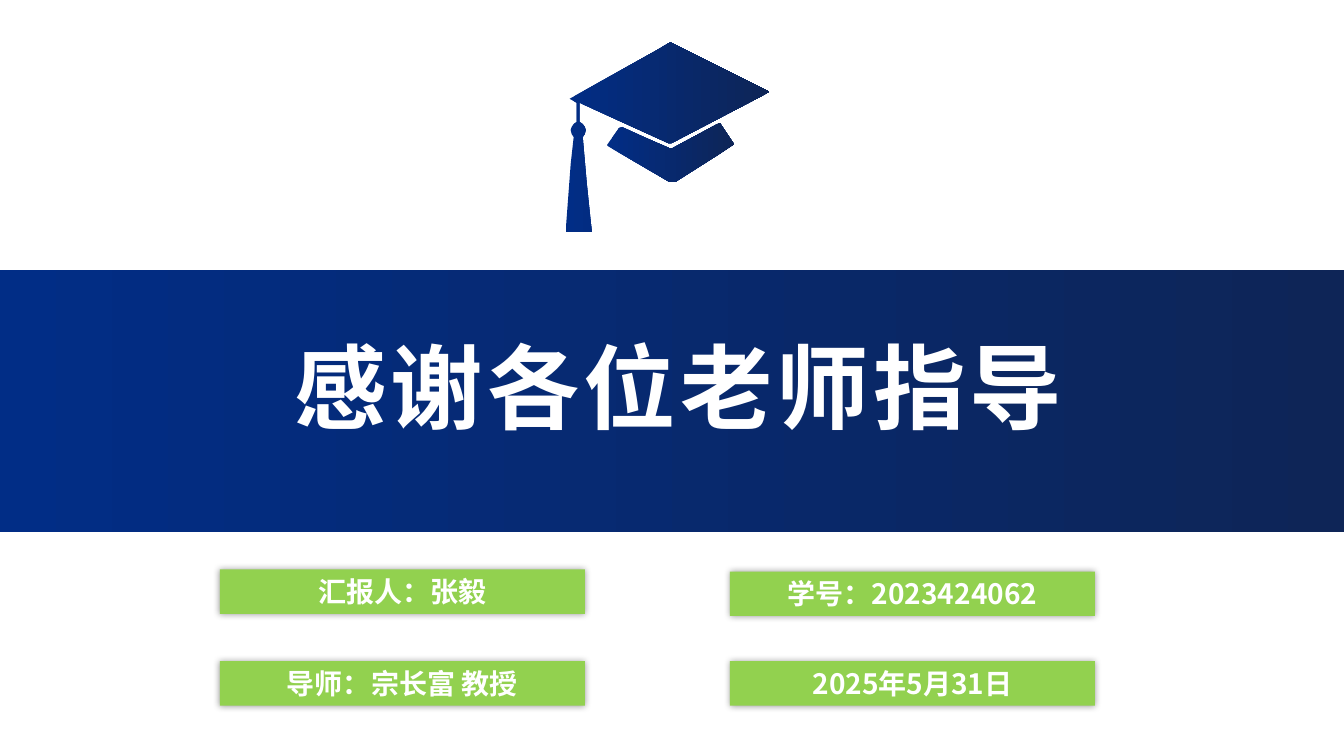
import pptx
import pptx.dml.color
import pptx.enum.shapes
import pptx.enum.text
import pptx.oxml
import pptx.oxml.ns
import pptx.util

RGB = pptx.dml.color.RGBColor
BLUE = RGB(0x01, 0x2D, 0x86)
NAVY = RGB(0x0E, 0x25, 0x57)
GREEN = RGB(0x92, 0xD1, 0x4F)
WHITE = RGB(0xFF, 0xFF, 0xFF)
FONT = "Noto Sans CJK SC"
SCALE = 9144
WIDTH, HEIGHT = 1333, 750

CAP_TOP = [
    (575, 102), (575, 121), (578, 123), (580, 126), (581, 129), (580, 133),
    (578, 136), (582, 182), (587, 230), (561, 230), (566, 163), (569, 136),
    (567, 133), (566, 129), (567, 126), (569, 123), (572, 121), (572, 102),
    (565, 98), (653, 49), (663, 43), (665, 42), (667, 43), (747, 83),
    (763, 91), (754, 96), (668, 141), (666, 142), (663, 142), (577, 103),
]
CAP_BASE = [
    (602, 144), (614, 127), (617, 126), (641, 137), (664, 147), (667, 147),
    (710, 124), (714, 122), (728, 143), (713, 153), (669, 181), (665, 181),
    (603, 145),
]
LABELS = [
    (218, 565, "汇报人：张毅"),
    (724, 567, "学号：2023424062"),
    (218, 656, "导师：宗长富 教授"),
    (724, 656, "2025年5月31日"),
]


def emu(px):
    return pptx.util.Emu(px * SCALE)


class Deck:
    def __init__(self):
        self.prs = pptx.Presentation()
        self.prs.slide_width, self.prs.slide_height = emu(WIDTH), emu(HEIGHT)
        self.slide = self.prs.slides.add_slide(self.prs.slide_layouts[5])
        self.shapes = self.slide.shapes

    def set_text(self, sp, text, size, align, anchor):
        tf = sp.text_frame
        tf.word_wrap = True
        tf.auto_size = pptx.enum.text.MSO_AUTO_SIZE.NONE
        tf.vertical_anchor = anchor
        tf.text = text
        p = tf.paragraphs[0]
        p.alignment = align
        font = p.font
        font.size, font.bold, font.name = pptx.util.Pt(size), True, FONT
        font.color.rgb = WHITE
        ea = pptx.oxml.parse_xml(
            f'<a:ea {pptx.oxml.ns.nsdecls("a")} typeface="{FONT}"/>')
        props = p._p.pPr.find(pptx.oxml.ns.qn("a:defRPr"))
        props.append(ea)
        return props

    def gradient(self, sp):
        sp.shadow.inherit = False
        sp.line.fill.background()
        sp.fill.gradient()
        sp.fill.gradient_angle = 0
        for stop, color in zip(sp.fill.gradient_stops, (BLUE, NAVY)):
            stop.color.rgb = color

    def rect(self, x, y, w, h):
        return self.shapes.add_shape(
            pptx.enum.shapes.MSO_SHAPE.RECTANGLE, emu(x), emu(y), emu(w), emu(h))

    def band(self, y, h):
        self.gradient(self.rect(0, y, WIDTH, h))

    def outline(self, points):
        fb = self.shapes.build_freeform(*points[0], scale=SCALE)
        fb.add_line_segments(points[1:], close=True)
        self.gradient(fb.convert_to_shape())

    def title(self, x, y, w, h, text):
        sp = self.shapes.title
        sp.left, sp.top, sp.width, sp.height = map(emu, (x, y, w, h))
        props = self.set_text(sp, text, 66, pptx.enum.text.PP_ALIGN.LEFT,
                              pptx.enum.text.MSO_ANCHOR.TOP)
        props.set("spc", "300")
        self.shapes._spTree.append(sp._element)

    def label(self, x, y, text):
        sp = self.rect(x, y, 362, 44)
        sp.fill.solid()
        sp.fill.fore_color.rgb = GREEN
        sp.line.fill.background()
        sp.shadow.inherit = False
        effects = sp._element.spPr.find(pptx.oxml.ns.qn("a:effectLst"))
        effects.append(pptx.oxml.parse_xml(
            f'<a:outerShdw {pptx.oxml.ns.nsdecls("a")} blurRad="63500" dist="0" '
            'algn="ctr" rotWithShape="0"><a:srgbClr val="000000">'
            '<a:alpha val="40000"/></a:srgbClr></a:outerShdw>'))
        self.set_text(sp, text, 20, pptx.enum.text.PP_ALIGN.CENTER,
                      pptx.enum.text.MSO_ANCHOR.MIDDLE)


def main():
    deck = Deck()
    deck.band(268, 260)
    deck.outline(CAP_TOP)
    deck.outline(CAP_BASE)
    deck.title(282, 322, 1051, 151, "感谢各位老师指导")
    for x, y, text in LABELS:
        deck.label(x, y, text)
    deck.prs.save("out.pptx")


if __name__ == "__main__":
    main()
